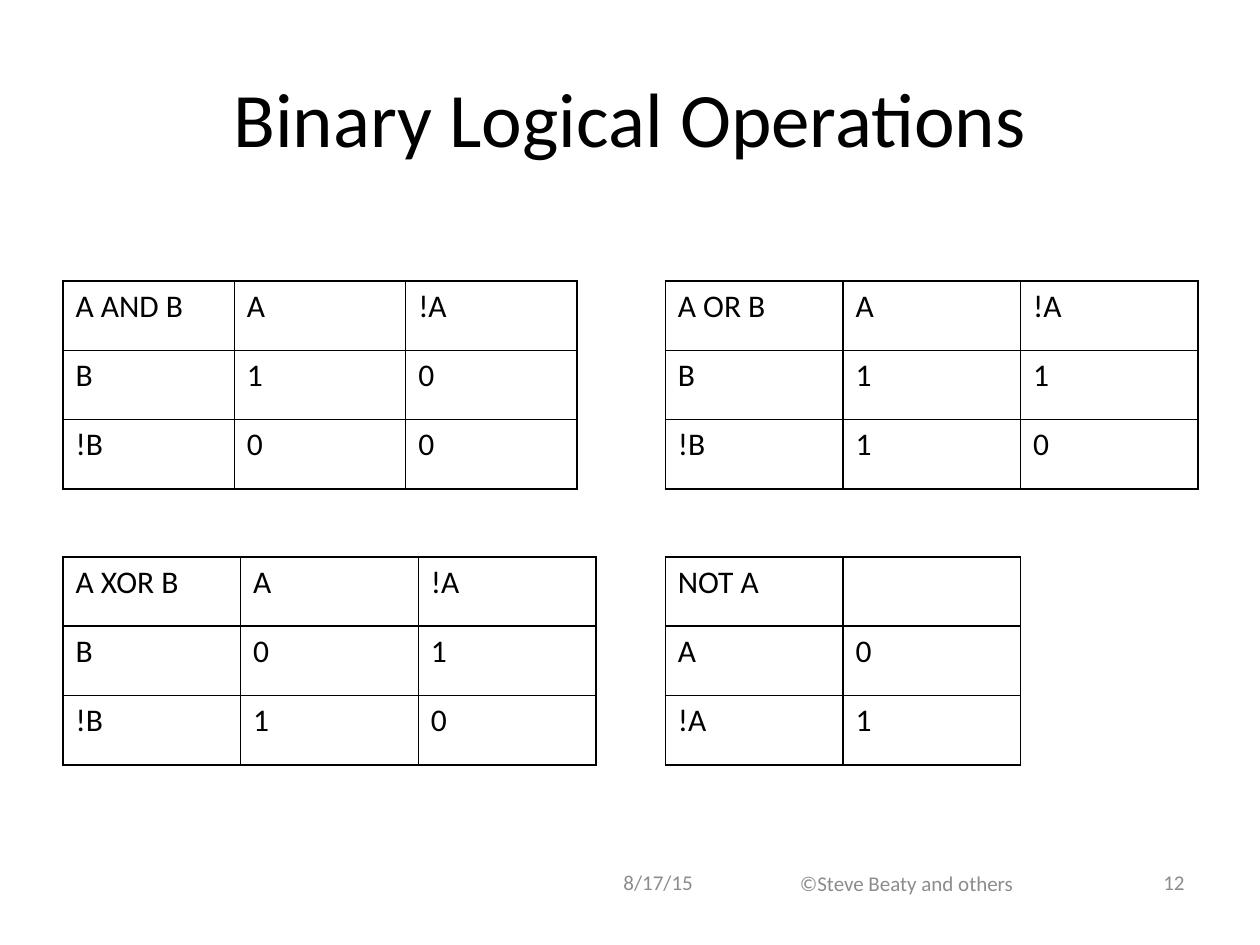
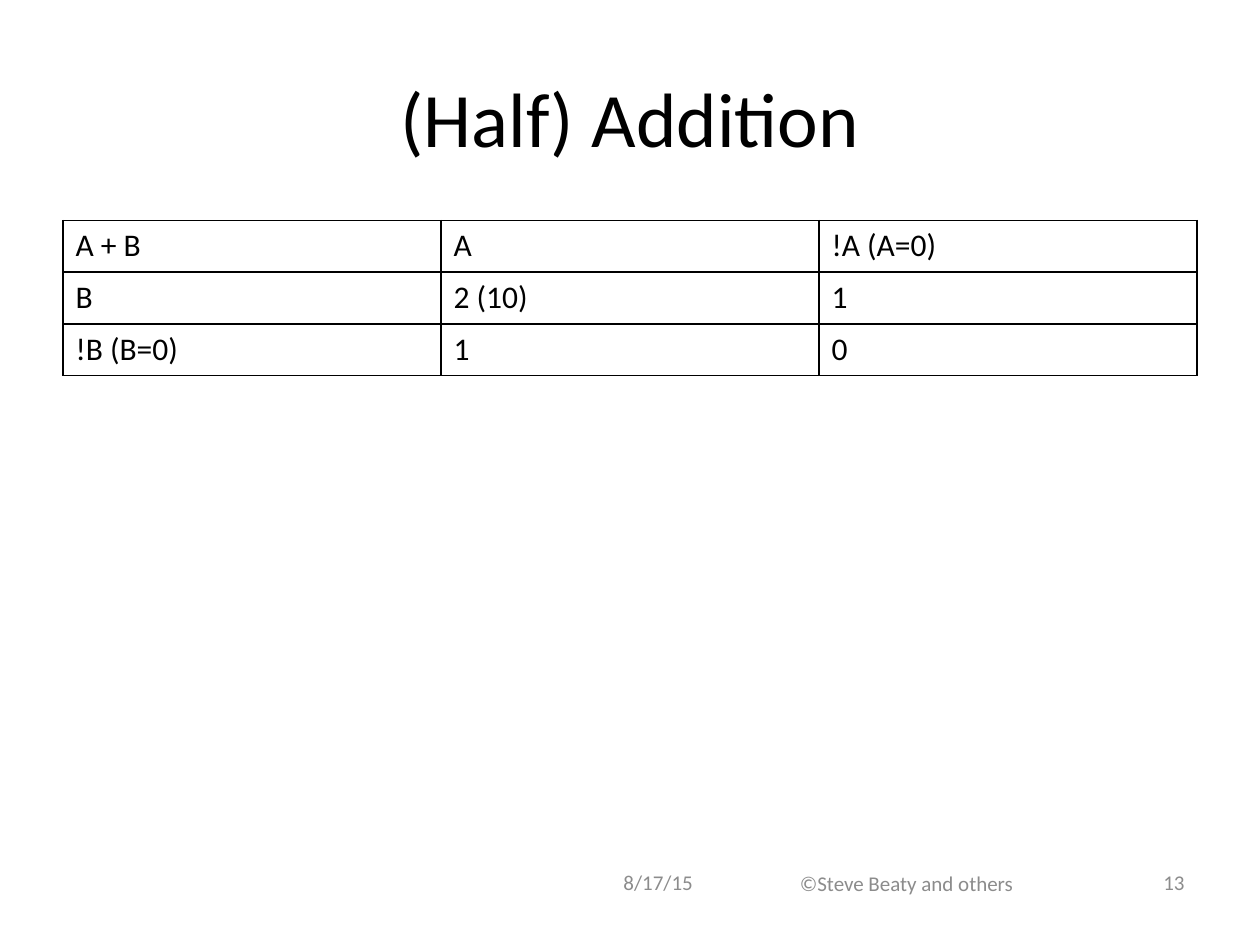
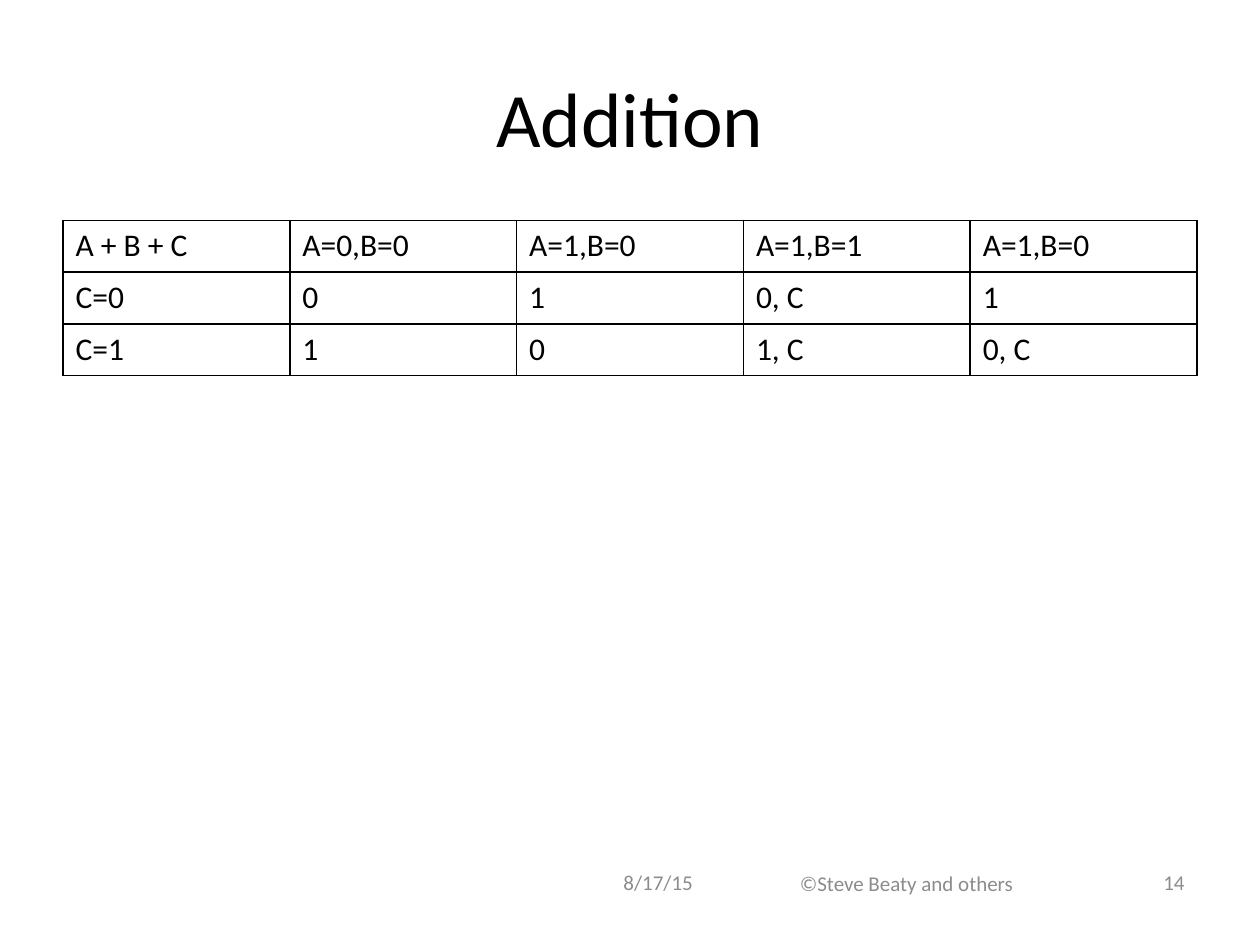
from lxml.etree import SubElement
from pptx import Presentation
from pptx.dml.color import RGBColor
from pptx.enum.text import MSO_ANCHOR, PP_ALIGN
from pptx.oxml.ns import qn
from pptx.util import Inches, Pt

BLACK = RGBColor(0x00, 0x00, 0x00)
GRAY = RGBColor(0x8C, 0x8C, 0x8C)
FONT = "Calibri"
LEFT, RIGHT = 0.5, 5.28
UPPER, LOWER, TOP = 2.23, 4.42, 1.75

SLIDES = [
    ("Binary Logical Operations", [
        (LEFT, UPPER, 1.36, 0.55, [["A AND B", "A", "!A"], ["B", "1", "0"], ["!B", "0", "0"]]),
        (RIGHT, UPPER, 1.41, 0.55, [["A OR B", "A", "!A"], ["B", "1", "1"], ["!B", "1", "0"]]),
        (LEFT, LOWER, 1.41, 0.55, [["A XOR B", "A", "!A"], ["B", "0", "1"], ["!B", "1", "0"]]),
        (RIGHT, LOWER, 1.41, 0.55, [["NOT A", ""], ["A", "0"], ["!A", "1"]]),
    ]),
    ("(Half) Addition", [
        (LEFT, TOP, 3, 0.41, [["A + B", "A", "!A (A=0)"], ["B", "2 (10)", "1"],
                              ["!B (B=0)", "1", "0"]]),
    ]),
    ("Addition", [
        (LEFT, TOP, 1.8, 0.41, [["A + B + C", "A=0,B=0", "A=1,B=0", "A=1,B=1", "A=1,B=0"],
                                ["C=0", "0", "1", "0, C", "1"],
                                ["C=1", "1", "0", "1, C", "0, C"]]),
    ]),
]


def write(tf, text, size, color, align):
    p = tf.paragraphs[0]
    p.text = text
    p.alignment = align
    for font in [p.font] + [r.font for r in p.runs]:
        for name, value in {"name": FONT, "size": Pt(size)}.items():
            setattr(font, name, value)
        font.color.rgb = color


def add_grid(s, left, top, col_width, row_height, rows):
    n_rows, n_cols = len(rows), len(rows[0])
    table = s.shapes.add_table(n_rows, n_cols, Inches(left), Inches(top),
                               Inches(col_width * n_cols), Inches(row_height * n_rows)).table
    table.first_row = table.horz_banding = False
    for col in table.columns:
        col.width = Inches(col_width)
    for row, texts in zip(table.rows, rows):
        row.height = Inches(row_height)
        for cell, text in zip(row.cells, texts):
            write(cell.text_frame, text, 18, BLACK, PP_ALIGN.LEFT)
            tcPr = cell._tc.get_or_add_tcPr()
            for side in ("a:lnL", "a:lnR", "a:lnT", "a:lnB"):
                ln = SubElement(tcPr, qn(side), w=str(Pt(1)))
                fill = SubElement(ln, qn("a:solidFill"))
                SubElement(fill, qn("a:srgbClr"), val=str(BLACK))
            cell.fill.background()


prs = Presentation()
prs.slide_width, prs.slide_height = Inches(10), Inches(7.5)

for number, (title, grids) in enumerate(SLIDES, start=12):
    s = prs.slides.add_slide(prs.slide_layouts[5])
    sp = s.shapes.title
    sp.left, sp.top, sp.width, sp.height = Inches(0.5), Inches(0.3), Inches(9), Inches(1.25)
    sp.text_frame.vertical_anchor = MSO_ANCHOR.MIDDLE
    write(sp.text_frame, title, 44, BLACK, PP_ALIGN.CENTER)

    for grid in grids:
        add_grid(s, *grid)

    for text, left, top, width, align in [
        ("8/17/15", 4.85, 6.8, 0.77, PP_ALIGN.LEFT),
        ("©Steve Beaty and others", 5.61, 6.81, 3.17, PP_ALIGN.CENTER),
        (str(number), 8.78, 6.8, 0.72, PP_ALIGN.RIGHT),
    ]:
        tf = s.shapes.add_textbox(Inches(left), Inches(top), Inches(width), Inches(0.4)).text_frame
        tf.word_wrap = True
        tf.vertical_anchor = MSO_ANCHOR.MIDDLE
        write(tf, text, 12, GRAY, align)

prs.save("out.pptx")
